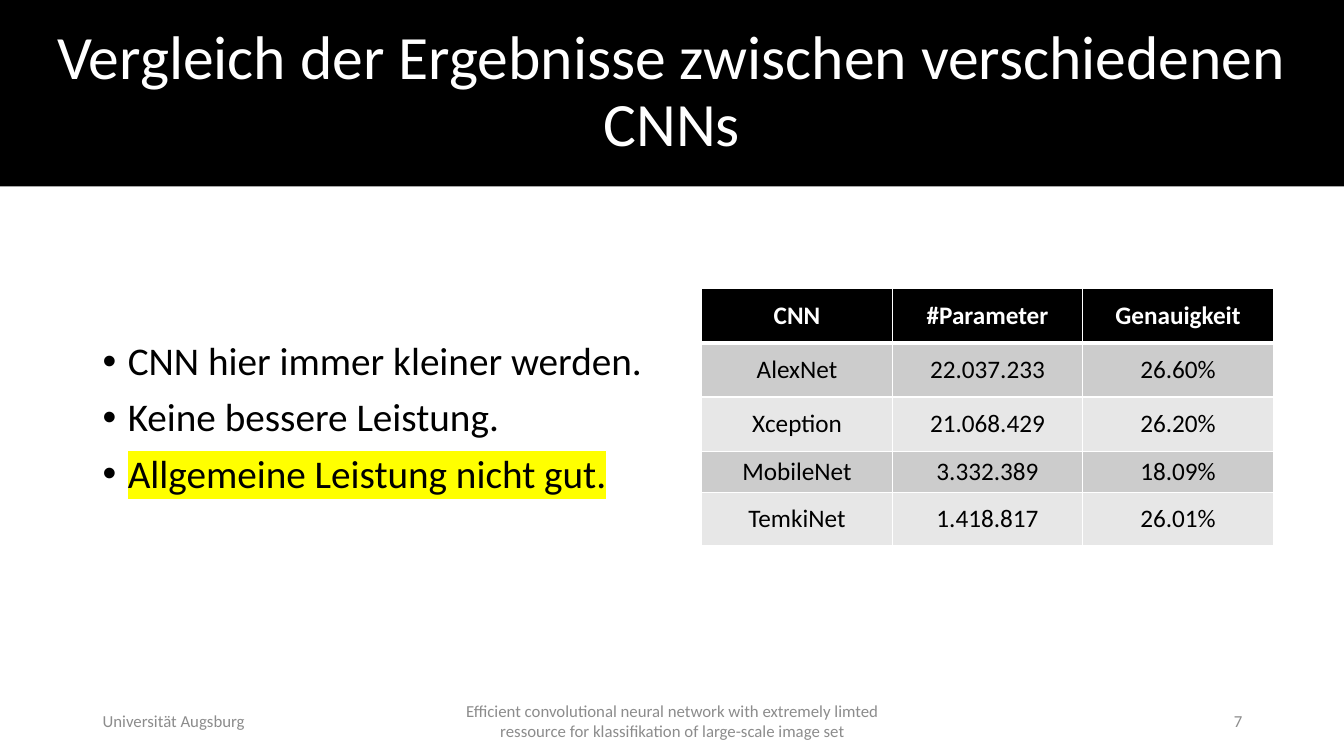
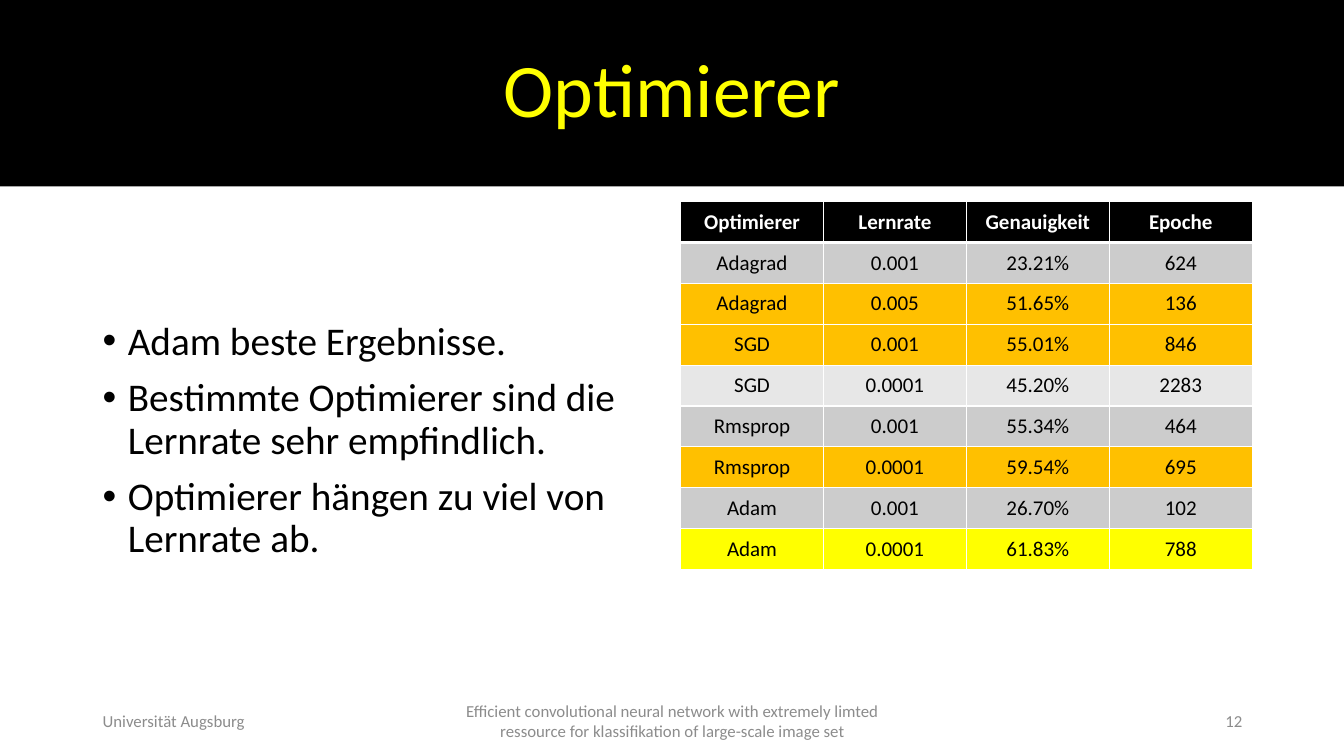
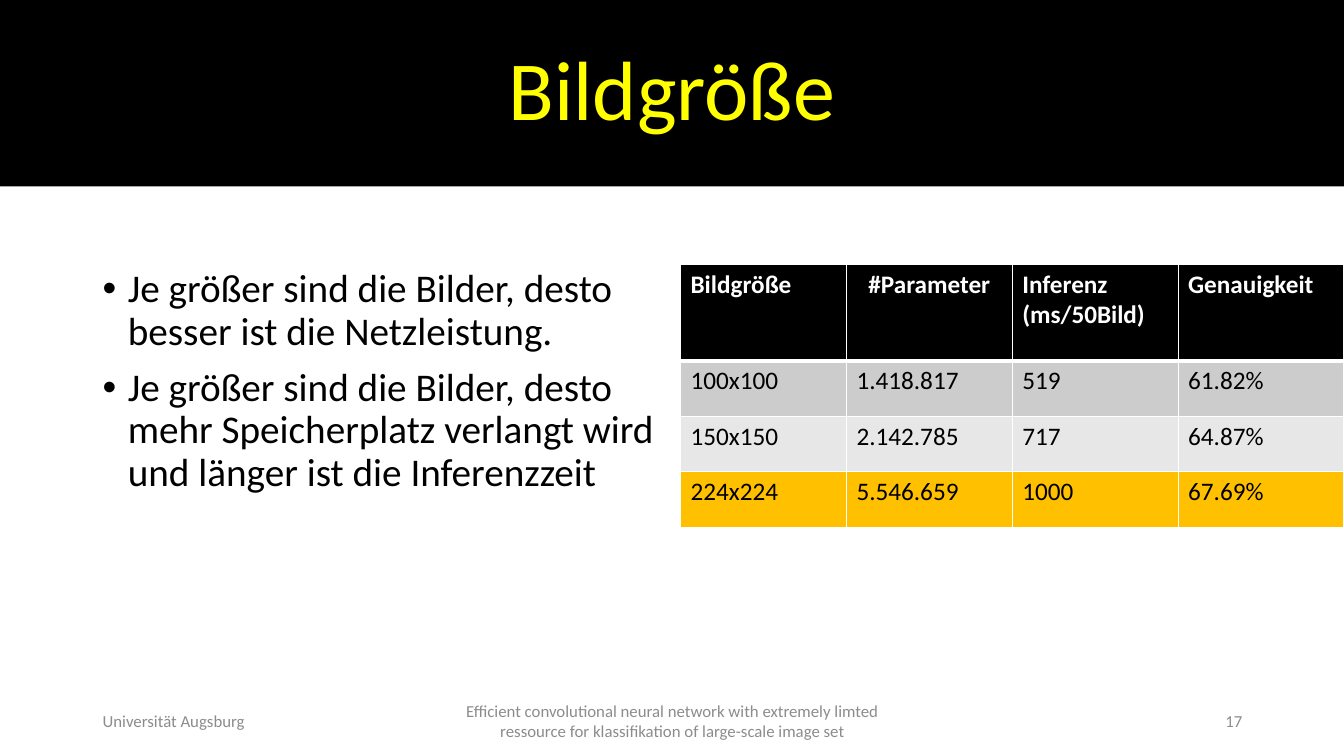
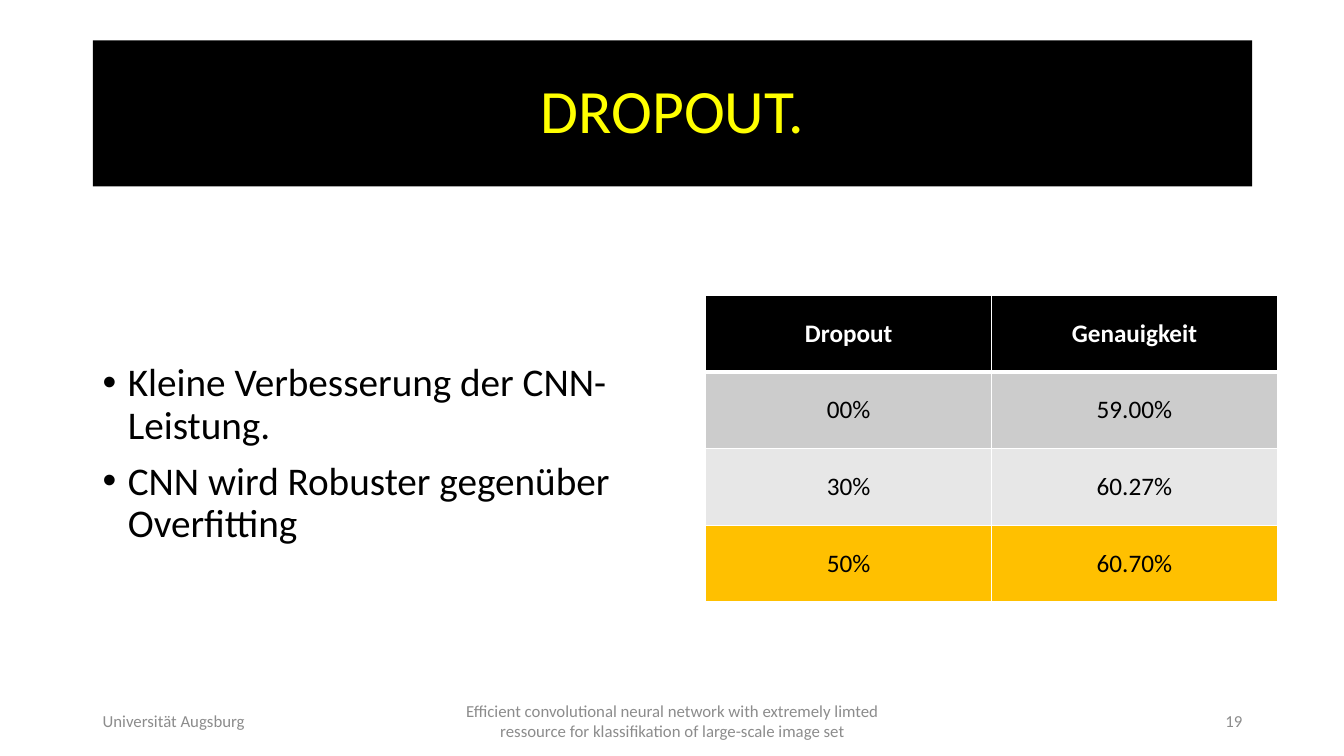
from lxml import etree
from pptx import Presentation
from pptx.dml.color import RGBColor
from pptx.enum.text import MSO_ANCHOR, MSO_AUTO_SIZE, PP_ALIGN
from pptx.oxml.ns import qn
from pptx.util import Inches, Pt

LEFT, CENTER, RIGHT = PP_ALIGN.LEFT, PP_ALIGN.CENTER, PP_ALIGN.RIGHT
TOP, MIDDLE = MSO_ANCHOR.TOP, MSO_ANCHOR.MIDDLE
NO_FIT = MSO_AUTO_SIZE.NONE
TITLE_ONLY = 5
FONT = "Calibri"
COLORS = {
    "black": "000000",
    "white": "FFFFFF",
    "yellow": "FFFF00",
    "orange": "FFC000",
    "dark_band": "CCCCCC",
    "light_band": "E7E7E7",
    "footer": "8C8C8C",
}
FULL_BAND = (0, 0, 13.33, 1.85)
INSET_BAND = (0.92, 0.4, 11.5, 1.45)
BODY_AREA = (0.92, 2, 5.67, 4.76)
UNIVERSITY = "Universität Augsburg"
TOPIC = ("Efficient convolutional neural network with extremely limted "
         "ressource for klassifikation of large-scale image set")


def rgb(color):
    return RGBColor.from_string(COLORS[color])


def box(area):
    return [Inches(length) for length in area]


def style(paragraph, size, color, align=LEFT, bold=False):
    paragraph.alignment = align
    font = paragraph.font
    font.name = FONT
    font.size = Pt(size)
    font.bold = bold
    font.color.rgb = rgb(color)


def add_solid_fill(parent, color):
    fill = etree.SubElement(parent, qn("a:solidFill"))
    etree.SubElement(fill, qn("a:srgbClr"), val=COLORS[color])


def add_title(slide, text, size, color, area):
    title = slide.shapes.title
    title.left, title.top, title.width, title.height = box(area)
    title.fill.solid()
    title.fill.fore_color.rgb = rgb("black")
    frame = title.text_frame
    frame.text = text
    frame.auto_size = NO_FIT
    frame.vertical_anchor = MIDDLE
    paragraph = frame.paragraphs[0]
    paragraph.line_spacing = 0.9
    style(paragraph, size, color, CENTER)


def add_text(slide, lines, area, anchor=MIDDLE):
    frame = slide.shapes.add_textbox(*box(area)).text_frame
    frame.word_wrap = True
    frame.auto_size = NO_FIT
    frame.vertical_anchor = anchor
    frame.text = "\n".join(lines)
    return frame


def add_bullets(slide, points, area=BODY_AREA, anchor=MIDDLE):
    frame = add_text(slide, points, area, anchor)
    for paragraph in frame.paragraphs:
        properties = paragraph._p.get_or_add_pPr()
        properties.set("marL", str(Inches(0.25)))
        properties.set("indent", str(-Inches(0.25)))
        etree.SubElement(properties, qn("a:buFont"), typeface="Arial")
        etree.SubElement(properties, qn("a:buChar"), char="•")
        paragraph.line_spacing = 0.9
        paragraph.space_before = Pt(10)
        style(paragraph, 28, "black")
    return frame


def highlight(run, color):
    marker = etree.SubElement(run._r.get_or_add_rPr(), qn("a:highlight"))
    etree.SubElement(marker, qn("a:srgbClr"), val=COLORS[color])


def add_borders(cell, top, bottom):
    properties = cell._tc.get_or_add_tcPr()
    for side, width in (("L", 1), ("R", 1), ("T", top), ("B", bottom)):
        line = etree.SubElement(properties, qn(f"a:ln{side}"), w=str(Pt(width)))
        add_solid_fill(line, "white")


def fill_cell(cell, text, row, color, size, align, anchor, margin):
    add_borders(cell, 3 if row == 1 else 1, 3 if row == 0 else 1)
    cell.fill.solid()
    cell.fill.fore_color.rgb = rgb(color)
    cell.vertical_anchor = anchor
    if margin is not None:
        cell.margin_left = cell.margin_right = Inches(margin)
        cell.margin_top = cell.margin_bottom = Inches(margin)
    cell.text = text
    for paragraph in cell.text_frame.paragraphs:
        style(paragraph, size, "black" if row else "white", align, row == 0)


def add_results(slide, records, area, heights, marked=None, size=18,
                align=CENTER, anchor=MIDDLE, margin=None):
    columns = len(records[0])
    table = slide.shapes.add_table(len(records), columns, *box(area)).table
    table.horz_banding = False
    for column in table.columns:
        column.width = Inches(area[2] / columns)
    row_colors = {0: "black", **(marked or {})}
    for row, (record, height) in enumerate(zip(records, heights)):
        table.rows[row].height = Inches(height)
        band = "dark_band" if row % 2 else "light_band"
        color = row_colors.get(row, band)
        for column, text in enumerate(record):
            fill_cell(table.cell(row, column), text, row, color,
                      size, align, anchor, margin)
    return table


def add_footer(slide, number):
    for text, left, width, align in (
        (UNIVERSITY, 0.92, 3, LEFT),
        (TOPIC, 4.42, 4.5, CENTER),
        (str(number), 9.42, 3, RIGHT),
    ):
        frame = add_text(slide, [text], (left, 6.95, width, 0.4))
        style(frame.paragraphs[0], 12, "footer", align)


def new_slide(deck, number, title, size, color="yellow", band=FULL_BAND):
    slide = deck.slides.add_slide(deck.slide_layouts[TITLE_ONLY])
    add_title(slide, title, size, color, band)
    add_footer(slide, number)
    return slide


def build_comparison(deck):
    slide = new_slide(
        deck, 7, "Vergleich der Ergebnisse zwischen verschiedenen CNNs", 44, "white")
    points = add_bullets(slide, [
        "CNN hier immer kleiner werden.",
        "Keine bessere Leistung.",
        "Allgemeine Leistung nicht gut.",
    ])
    points.margin_bottom = Inches(0.49)
    highlight(points.paragraphs[-1].runs[0], "yellow")
    add_results(slide, [
        ("CNN", "#Parameter", "Genauigkeit"),
        ("AlexNet", "22.037.233", "26.60%"),
        ("Xception", "21.068.429", "26.20%"),
        ("MobileNet", "3.332.389", "18.09%"),
        ("TemkiNet", "1.418.817", "26.01%"),
    ], (6.96, 2.86, 5.67, 2.55), [0.54, 0.54, 0.54, 0.4, 0.53])


def build_optimizers(deck):
    slide = new_slide(deck, 12, "Optimierer", 54)
    add_bullets(slide, [
        "Adam beste Ergebnisse.",
        "Bestimmte Optimierer sind die Lernrate sehr empfindlich.",
        "Optimierer hängen zu viel von Lernrate ab.",
    ])
    add_results(slide, [
        ("Optimierer", "Lernrate", "Genauigkeit", "Epoche"),
        ("Adagrad", "0.001", "23.21%", "624"),
        ("Adagrad", "0.005", "51.65%", "136"),
        ("SGD", "0.001", "55.01%", "846"),
        ("SGD", "0.0001", "45.20%", "2283"),
        ("Rmsprop", "0.001", "55.34%", "464"),
        ("Rmsprop", "0.0001", "59.54%", "695"),
        ("Adam", "0.001", "26.70%", "102"),
        ("Adam", "0.0001", "61.83%", "788"),
    ], (6.75, 2, 5.67, 3.65), [3.65 / 9] * 9,
        {2: "orange", 3: "orange", 6: "orange", 8: "yellow"},
        size=15, margin=0.04)


def build_image_sizes(deck):
    slide = new_slide(deck, 17, "Bildgröße", 60)
    add_bullets(slide, [
        "Je größer sind die Bilder, desto besser ist die Netzleistung.",
        "Je größer sind die Bilder, desto mehr Speicherplatz verlangt wird "
        "und länger ist die Inferenzzeit",
    ], (0.92, 2.62, 5.67, 4.14), TOP)
    sizes = add_results(slide, [
        ("Bildgröße", "#Parameter", "Inferenz\n(ms/50Bild)", "Genauigkeit"),
        ("100x100", "1.418.817", "519", "61.82%"),
        ("150x150", "2.142.785", "717", "64.87%"),
        ("224x224", "5.546.659", "1000", "67.69%"),
    ], (6.75, 2.62, 6.58, 2.62), [0.96, 0.55, 0.55, 0.55],
        {3: "orange"}, align=LEFT, anchor=TOP)
    sizes.cell(0, 1).text_frame.paragraphs[0].alignment = CENTER


def build_dropout(deck):
    slide = new_slide(deck, 19, "DROPOUT.", 44, band=INSET_BAND)
    add_bullets(slide, [
        "Kleine Verbesserung der CNN-Leistung.",
        "CNN wird Robuster gegenüber Overfitting",
    ], (0.92, 2.93, 5.67, 3.16))
    add_results(slide, [
        ("Dropout", "Genauigkeit"),
        ("00%", "59.00%"),
        ("30%", "60.27%"),
        ("50%", "60.70%"),
    ], (7, 2.93, 5.67, 3.04), [0.76] * 4, {3: "orange"})


def main():
    deck = Presentation()
    deck.slide_width = Inches(13.33)
    deck.slide_height = Inches(7.5)
    build_comparison(deck)
    build_optimizers(deck)
    build_image_sizes(deck)
    build_dropout(deck)
    deck.save("out.pptx")


if __name__ == "__main__":
    main()
